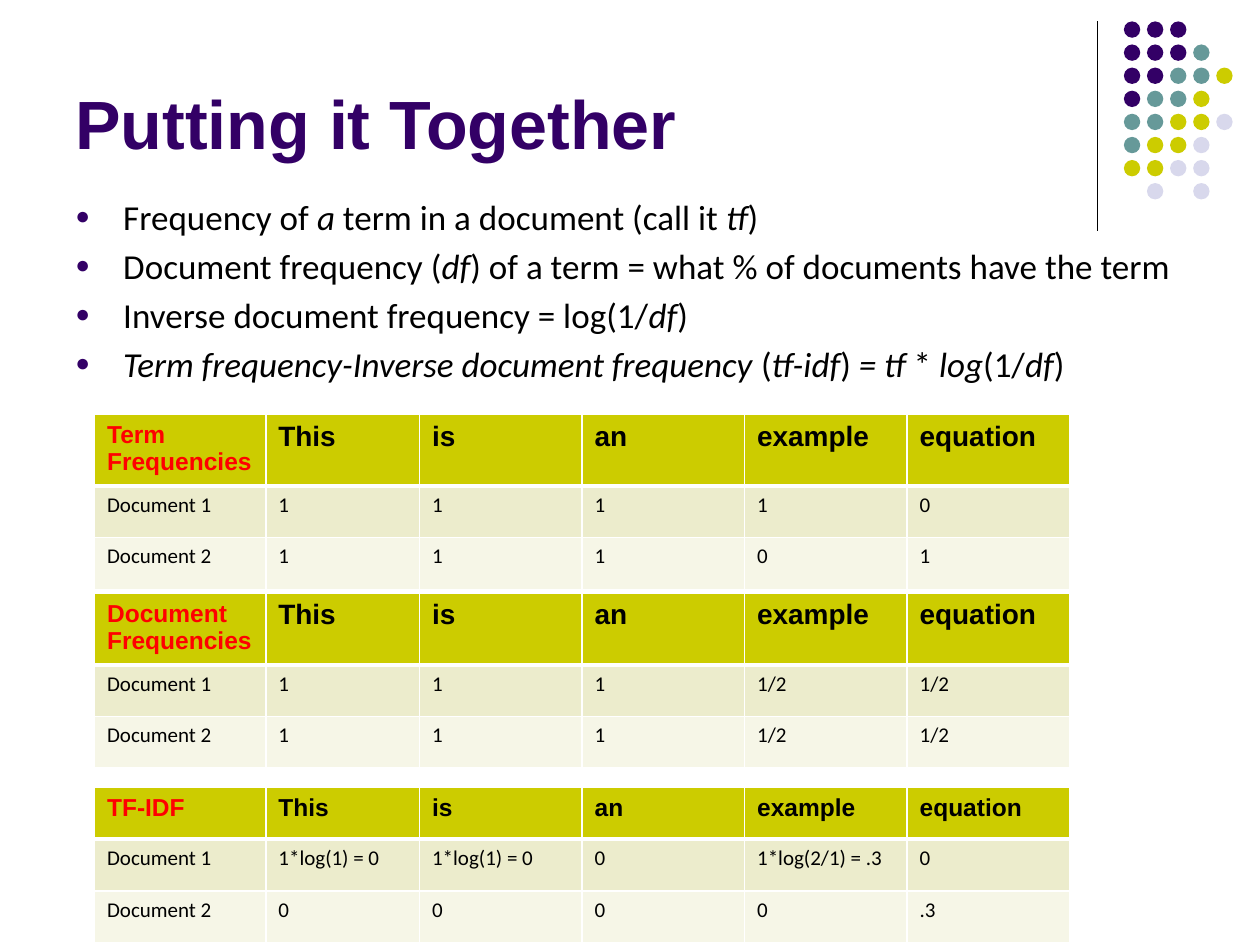
from lxml import etree
from pptx import Presentation, util as u
from pptx.dml.color import RGBColor
from pptx.enum import shapes, text
from pptx.oxml.ns import qn

PURPLE = RGBColor(0x33, 0x00, 0x66)
TEAL = RGBColor(0x66, 0x99, 0x99)
OLIVE = RGBColor(0xCC, 0xCC, 0x00)
LAVENDER = RGBColor(0xD8, 0xD8, 0xEC)
BLACK = RGBColor(0x00, 0x00, 0x00)
RED = RGBColor(0xFF, 0x00, 0x00)
WHITE = RGBColor(0xFF, 0xFF, 0xFF)
BAND_DARK = RGBColor(0xEC, 0xEC, 0xCC)
BAND_LIGHT = RGBColor(0xF6, 0xF6, 0xE7)

# Dot ornament: one letter per dot, one string per row
DOT_COLORS = {"P": PURPLE, "T": TEAL, "O": OLIVE, "L": LAVENDER}
DOT_ROWS = ["PPP", "PPPT", "PPTTO", "PTTO", "TTOOL", "TOOL", "OOLL", " L L"]
DOT_LEFT, DOT_TOP, DOT_SIZE = 8.92, 0.17, 0.13
DOT_PITCH = 0.55 / 3

# Underscores switch italics on and off
DEFINITIONS = [
    "Frequency of _a _term in a document (call it _tf_)",
    "Document frequency (_df_) of a term = what % of documents have the term",
    "Inverse document frequency = log(1/_df_)",
    "_Term frequency-Inverse document frequency _(_tf-idf_) _= tf _* _log_(1/_df_)",
]

TERMS = ["This", "is", "an", "example", "equation"]
TABLE_LEFT, ROW_HEIGHT = 0.75, 0.41
COLUMN_WIDTHS = [1.36, 1.22] + [1.29] * 4
# Heading, top, size of the term names, values for each document
TABLES = [
    ("Term Frequencies", 3.29, 16,
     [["1", "1", "1", "1", "0"], ["1", "1", "1", "0", "1"]]),
    ("TF-IDF", 6.25, 14,
     [["1*log(1) = 0", "1*log(1) = 0", "0", "1*log(2/1) = .3", "0"],
      ["0", "0", "0", "0", ".3"]]),
    ("Document Frequencies", 4.71, 16,
     [["1", "1", "1", "1/2", "1/2"]] * 2),
]


def set_font(paragraph, name, size, color, bold=False):
    font = paragraph.font
    font.name, font.size, font.bold = name, u.Pt(size), bold
    font.color.rgb = color


def add_text_frame(slide, left, top, width, height, anchor):
    box = slide.shapes.add_textbox(*map(u.Inches, (left, top, width, height)))
    frame = box.text_frame
    frame.word_wrap = True
    frame.vertical_anchor = anchor
    return frame


def add_ornament(slide):
    rule = slide.shapes.add_connector(
        shapes.MSO_CONNECTOR.STRAIGHT,
        *map(u.Inches, (8.71, 0.17, 8.71, 1.83)))
    rule.line.color.rgb = BLACK
    rule.line.width = u.Pt(0.75)
    etree.SubElement(rule._element.spPr, qn("a:effectLst"))

    dots = slide.shapes.add_group_shape()
    for row, letters in enumerate(DOT_ROWS):
        for column, letter in enumerate(letters):
            if letter == " ":
                continue
            dot = dots.shapes.add_shape(
                shapes.MSO_SHAPE.OVAL,
                u.Inches(DOT_LEFT + column * DOT_PITCH),
                u.Inches(DOT_TOP + row * DOT_PITCH),
                u.Inches(DOT_SIZE), u.Inches(DOT_SIZE))
            dot.shadow.inherit = False
            dot.fill.solid()
            dot.fill.fore_color.rgb = DOT_COLORS[letter]
            dot.line.fill.background()


def add_title(slide):
    frame = add_text_frame(slide, 0.5, -0.08, 8.25, 1.42,
                           text.MSO_ANCHOR.BOTTOM)
    frame.text = "Putting it Together"
    set_font(frame.paragraphs[0], "Arial", 39, PURPLE, bold=True)


def add_bullet(paragraph):
    properties = paragraph._p.get_or_add_pPr()
    properties.set("marL", str(u.Inches(0.38)))
    properties.set("indent", str(-u.Inches(0.38)))
    color = etree.SubElement(properties, qn("a:buClr"))
    etree.SubElement(color, qn("a:srgbClr"), val=str(PURPLE))
    etree.SubElement(properties, qn("a:buSzPct"), val="70000")
    etree.SubElement(properties, qn("a:buFont"), typeface="Arial")
    etree.SubElement(properties, qn("a:buChar"), char="●")


def add_definitions(slide):
    frame = add_text_frame(slide, 0.5, 1.5, 9, 4.82, text.MSO_ANCHOR.TOP)
    for index, definition in enumerate(DEFINITIONS):
        paragraph = frame.add_paragraph() if index else frame.paragraphs[0]
        paragraph.space_before = u.Pt(4)
        add_bullet(paragraph)
        set_font(paragraph, "Calibri", 20, BLACK)
        for part, words in enumerate(definition.split("_")):
            if words:
                run = paragraph.add_run()
                run.text = words
                run.font.italic = part % 2 == 1


def set_borders(cell, widths):
    properties = cell._tc.get_or_add_tcPr()
    for position, (side, width) in enumerate(widths.items()):
        line = etree.Element(qn(f"a:{side}"), w=str(u.Pt(width)))
        fill = etree.SubElement(line, qn("a:solidFill"))
        etree.SubElement(fill, qn("a:srgbClr"), val=str(WHITE))
        properties.insert(position, line)


def fill_cell(cell, words, color):
    cell.text = words
    cell.fill.solid()
    cell.fill.fore_color.rgb = color
    return cell.text_frame.paragraphs[0]


def add_frequency_table(slide, heading, top, term_size, values):
    rows = [[heading] + TERMS]
    rows += [[f"Document {n}"] + row for n, row in enumerate(values, 1)]
    table = slide.shapes.add_table(
        len(rows), len(COLUMN_WIDTHS), u.Inches(TABLE_LEFT), u.Inches(top),
        u.Inches(sum(COLUMN_WIDTHS)), u.Inches(ROW_HEIGHT * len(rows))).table
    for column, width in zip(table.columns, COLUMN_WIDTHS):
        column.width = u.Inches(width)

    for r, row in enumerate(rows):
        for c, words in enumerate(row):
            cell = table.cell(r, c)
            paragraph = fill_cell(cell, words, (OLIVE, BAND_DARK, BAND_LIGHT)[r])
            if r == 0:
                size, color = (term_size, BLACK) if c else (14, RED)
                set_font(paragraph, "Arial", size, color, bold=True)
                set_borders(cell, {"lnL": 1, "lnR": 1, "lnT": 1, "lnB": 3})
            else:
                set_font(paragraph, "Calibri", 12, BLACK)
                set_borders(cell, {"lnL": 1, "lnR": 1,
                                   "lnT": 3 if r == 1 else 1, "lnB": 1})


def main():
    presentation = Presentation()
    presentation.slide_width = u.Inches(10)
    presentation.slide_height = u.Inches(7.5)
    slide = presentation.slides.add_slide(presentation.slide_layouts[6])
    add_ornament(slide)
    add_title(slide)
    add_definitions(slide)
    for table in TABLES:
        add_frequency_table(slide, *table)
    presentation.save("out.pptx")


if __name__ == "__main__":
    main()
